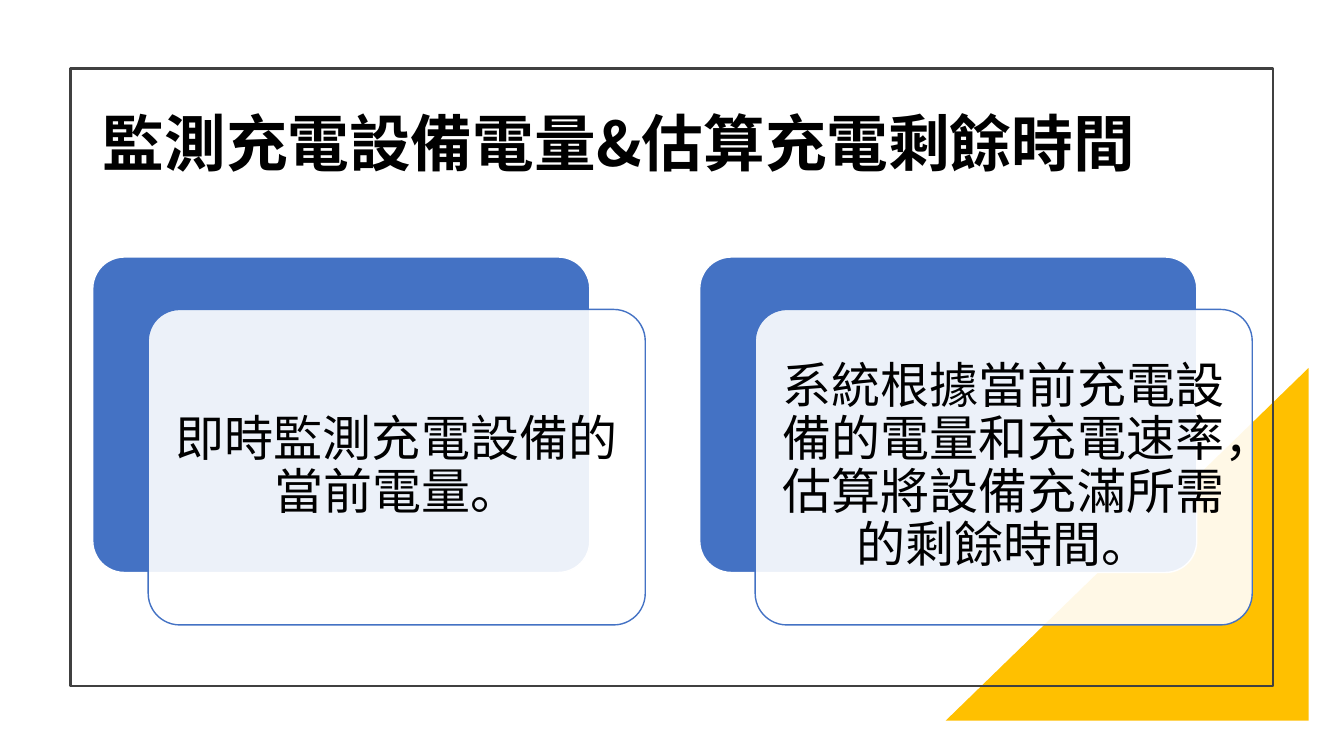
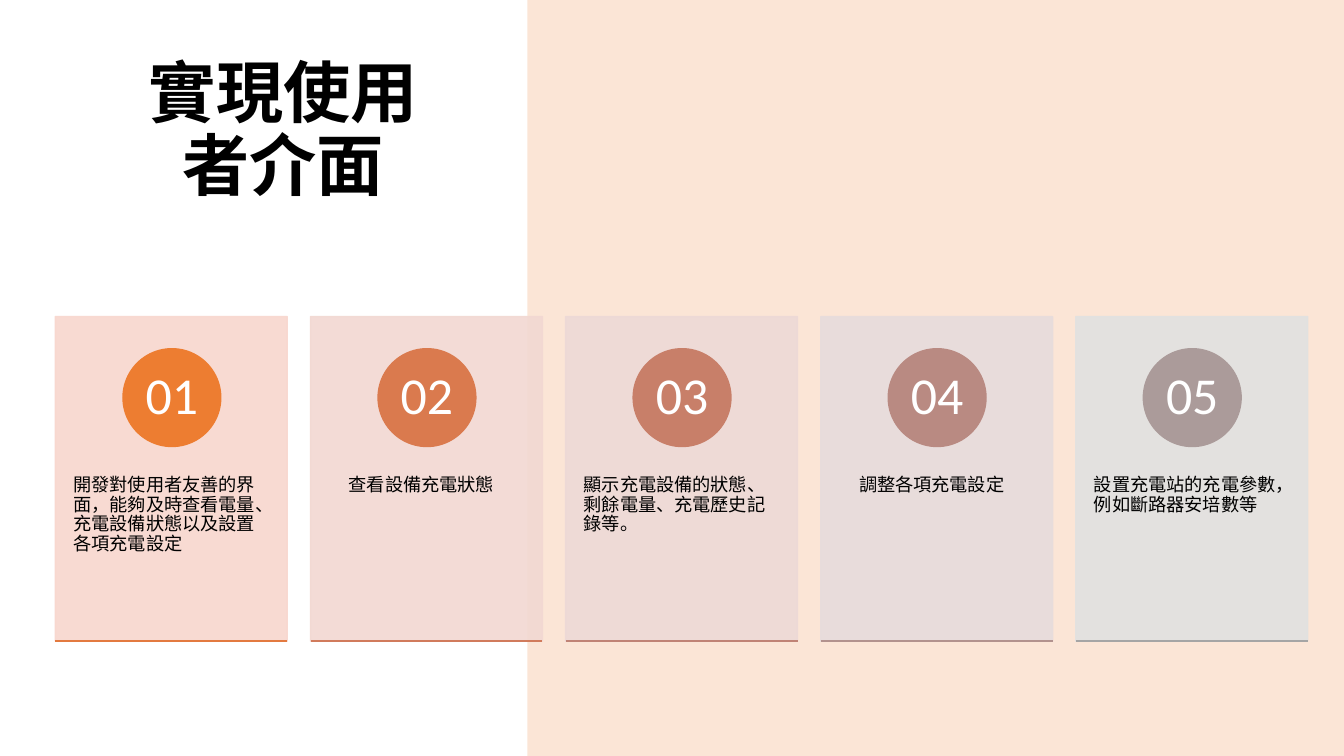
from lxml.etree import SubElement
from pptx import Presentation
from pptx.dml.color import RGBColor
from pptx.enum.shapes import MSO_CONNECTOR, MSO_SHAPE
from pptx.enum.text import MSO_ANCHOR, MSO_AUTO_SIZE, PP_ALIGN
from pptx.oxml.ns import qn
from pptx.util import Emu, Pt

PX = 9144  # 100 px to the inch
LATIN_FONT = "Calibri"
CJK_FONT = "Noto Sans CJK TC"

BLACK = RGBColor(0x00, 0x00, 0x00)
WHITE = RGBColor(0xFF, 0xFF, 0xFF)
FRAME_GRAY = RGBColor(0x40, 0x40, 0x40)
GOLD = RGBColor(0xFF, 0xC0, 0x00)
BLUE = RGBColor(0x44, 0x72, 0xC4)
PEACH = RGBColor(0xFB, 0xE5, 0xD6)

FEATURES = [
    "即時監測充電設備的當前電量。",
    "系統根據當前充電設備的電量和充電速率，估算將設備充滿所需的剩餘時間。",
]

# text, extra left indent, card colour, badge colour, baseline colour
STEPS = [
    ("開發對使用者友善的界面，能夠及時查看電量、充電設備狀態以及設置各項充電設定", 0,
     RGBColor(0xF8, 0xD7, 0xCE), RGBColor(0xED, 0x7D, 0x31), RGBColor(0xE3, 0x7A, 0x40)),
    ("查看設備充電狀態", 20,
     RGBColor(0xF2, 0xD8, 0xD2), RGBColor(0xDA, 0x7A, 0x4E), RGBColor(0xD1, 0x7B, 0x5C)),
    ("顯示充電設備的狀態、剩餘電量、充電歷史記錄等。", 0,
     RGBColor(0xED, 0xD9, 0xD7), RGBColor(0xC8, 0x7F, 0x69), RGBColor(0xC0, 0x83, 0x76)),
    ("調整各項充電設定", 20,
     RGBColor(0xE7, 0xDC, 0xDC), RGBColor(0xB9, 0x8A, 0x82), RGBColor(0xB2, 0x92, 0x8E)),
    ("設置充電站的充電參數，例如斷路器安培數等", 0,
     RGBColor(0xE1, 0xE1, 0xE1), RGBColor(0xAB, 0x9B, 0x9A), RGBColor(0xA5, 0xA5, 0xA5)),
]


def px(*lengths):
    return [Emu(length * PX) for length in lengths]


def set_alpha(fill_owner, percent):
    """Make every solid colour below the element partly transparent."""
    for colour in fill_owner.iter(qn("a:srgbClr")):
        SubElement(colour, qn("a:alpha")).set("val", str(percent * 1000))


def add_box(slide, preset, box, fill=None, line=None, line_width=1, alpha=100):
    shape = slide.shapes.add_shape(preset, *px(*box))
    shape.shadow.inherit = False
    if fill is None:
        shape.fill.background()
    else:
        shape.fill.solid()
        shape.fill.fore_color.rgb = fill
        if alpha < 100:
            set_alpha(shape.fill._xPr.find(qn("a:solidFill")), alpha)
    if line is None:
        shape.line.fill.background()
    else:
        shape.line.color.rgb = line
        shape.line.width = Pt(line_width)
    return shape


def write(shape, text, size, insets, color=BLACK, font=LATIN_FONT, bold=False,
          align=PP_ALIGN.LEFT, anchor=MSO_ANCHOR.MIDDLE):
    """Fill a shape with one paragraph; insets are left, top, right, bottom."""
    frame = shape.text_frame
    frame.word_wrap = True
    frame.auto_size = MSO_AUTO_SIZE.NONE
    frame.vertical_anchor = anchor
    (frame.margin_left, frame.margin_top,
     frame.margin_right, frame.margin_bottom) = px(*insets)
    paragraph = frame.paragraphs[0]
    paragraph.text = text
    paragraph.alignment = align
    paragraph.line_spacing = 0.9
    paragraph.font.size = Pt(size)
    paragraph.font.bold = bold
    paragraph.font.color.rgb = color
    paragraph.font.name = font
    SubElement(paragraph.font._rPr, qn("a:ea")).set("typeface", CJK_FONT)


def add_titled_slide(deck, title, box, size, **style):
    slide = deck.slides.add_slide(deck.slide_layouts[5])
    heading = slide.shapes.title
    heading.left, heading.top, heading.width, heading.height = px(*box)
    write(heading, title, size, (10, 5, 10, 5), bold=True, **style)
    return slide


def add_feature(slide, left, top, text):
    """A blue panel with a translucent text panel offset in front of it."""
    width, height = 493, 313
    back = add_box(slide, MSO_SHAPE.ROUNDED_RECTANGLE,
                   (left, top, width, height), BLUE, WHITE)
    front = add_box(slide, MSO_SHAPE.ROUNDED_RECTANGLE,
                    (left + 55, top + 52, width, height), WHITE, BLUE, alpha=90)
    for panel in (back, front):
        panel.adjustments[0] = 0.1
    write(front, text, 35, (15, 15, 15, 15), align=PP_ALIGN.CENTER)


def add_baseline(slide, left, right, y, color):
    baseline = slide.shapes.add_connector(MSO_CONNECTOR.STRAIGHT, *px(left, y, right, y))
    baseline.line.color.rgb = color
    baseline.line.width = Pt(1)
    SubElement(baseline._element.spPr, qn("a:effectLst"))


def add_step(slide, left, number, step):
    text, indent, card_color, badge_color, baseline_color = step
    top, width, height, badge_size = 314, 230, 322, 97
    card = add_box(slide, MSO_SHAPE.RECTANGLE, (left, top, width, height),
                   card_color, card_color, alpha=90)
    set_alpha(card.line._ln, 90)
    write(card, text, 13, (18 + indent, 158, 18, 36), font=CJK_FONT,
          anchor=MSO_ANCHOR.TOP)
    badge = add_box(slide, MSO_SHAPE.OVAL,
                    (left + 67, top + 32, badge_size, badge_size),
                    badge_color, badge_color)
    write(badge, f"{number:02}", 37, (8, 1, 8, 1), WHITE, align=PP_ALIGN.CENTER)
    add_baseline(slide, left, left + width, top + height, baseline_color)


def build_monitoring(deck):
    slide = add_titled_slide(deck, "監測充電設備電量&估算充電剩餘時間",
                             (92, 40, 1150, 210), 44, font=CJK_FONT)
    corner = add_box(slide, MSO_SHAPE.RIGHT_TRIANGLE, (938, 365, 360, 350), GOLD)
    corner._element.spPr.find(qn("a:xfrm")).set("flipH", "1")
    add_box(slide, MSO_SHAPE.RECTANGLE, (70, 68, 1193, 613),
            line=FRAME_GRAY, line_width=1.5)
    for column, text in enumerate(FEATURES):
        add_feature(slide, 92 + column * 602, 255, text)


def build_interface(deck):
    slide = add_titled_slide(deck, "實現使用者介面", (130, 55, 302, 153), 48,
                             align=PP_ALIGN.CENTER, anchor=MSO_ANCHOR.BOTTOM)
    add_box(slide, MSO_SHAPE.RECTANGLE, (523, 0, 810, 750), PEACH)
    for column, step in enumerate(STEPS):
        add_step(slide, 55 + column * 253, column + 1, step)


def main():
    deck = Presentation()
    deck.slide_width, deck.slide_height = px(1333, 750)
    build_monitoring(deck)
    build_interface(deck)
    deck.save("out.pptx")


if __name__ == "__main__":
    main()
